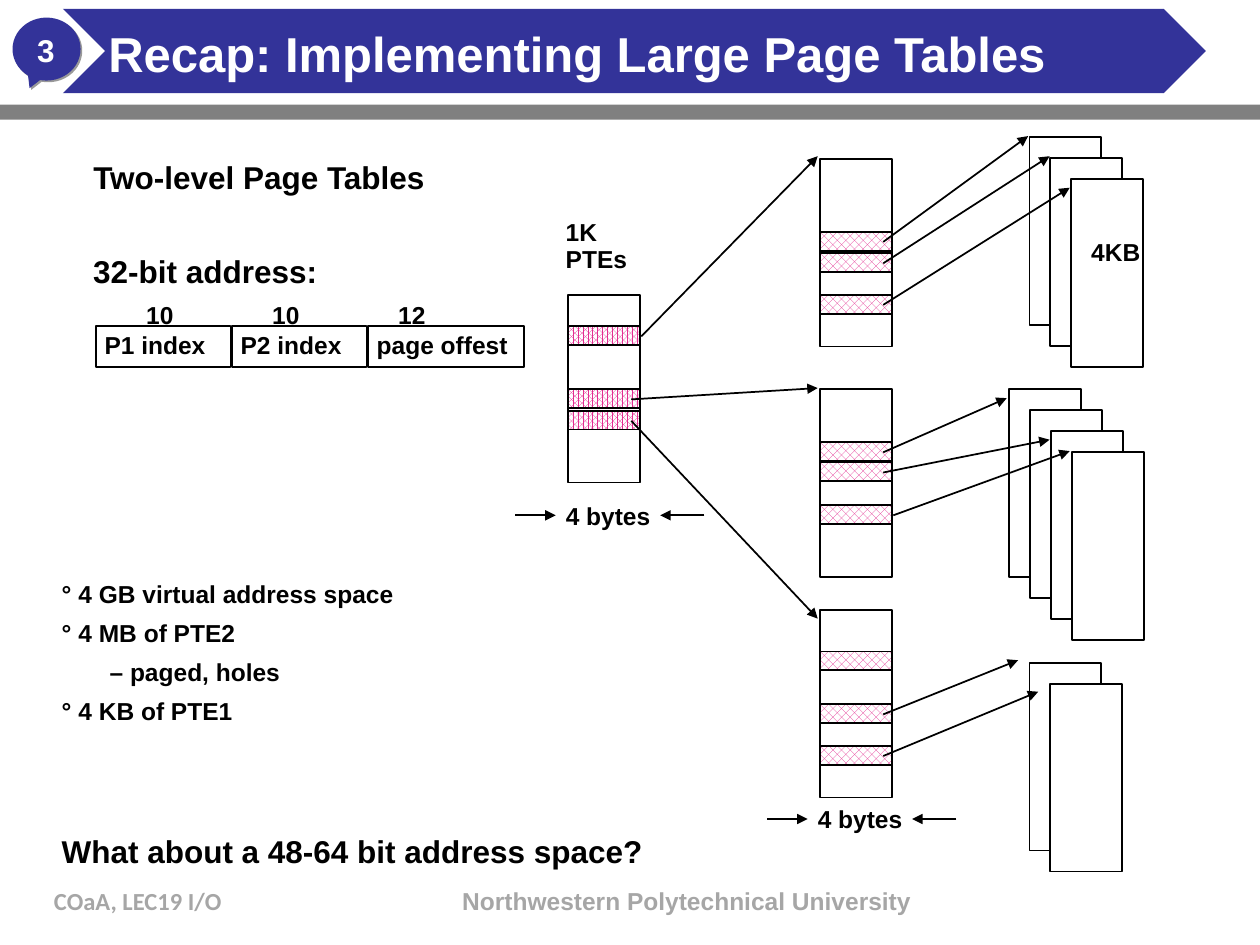
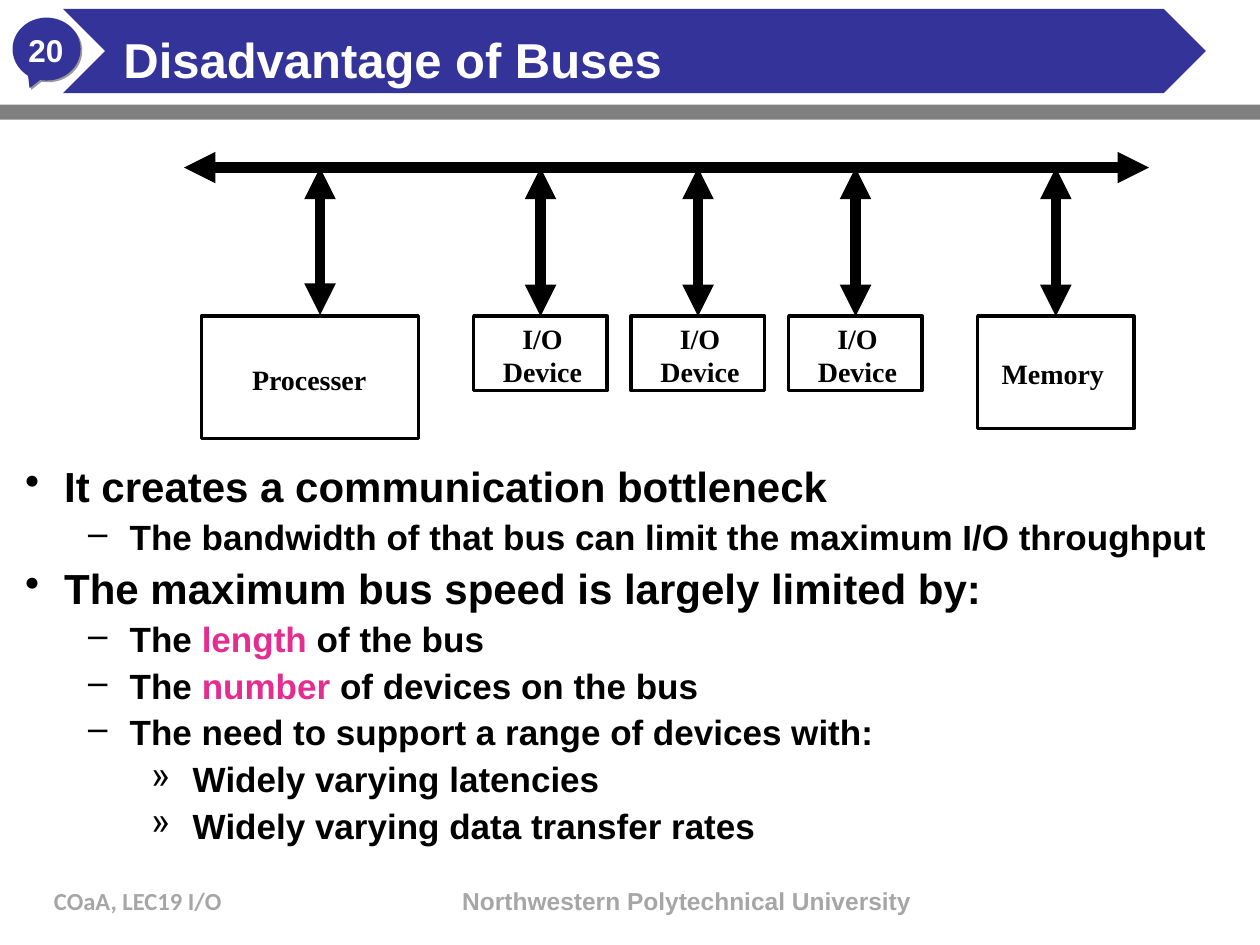
import pptx
import pptx.dml.color
import pptx.enum.dml
import pptx.enum.shapes
import pptx.enum.text
import pptx.oxml
import pptx.oxml.ns
import pptx.util
from lxml import etree

Inches = pptx.util.Inches
Pt = pptx.util.Pt
RGB = pptx.dml.color.RGBColor
SHAPE = pptx.enum.shapes.MSO_SHAPE
ALIGN = pptx.enum.text.PP_ALIGN
ANCHOR = pptx.enum.text.MSO_ANCHOR
PATTERN = pptx.enum.dml.MSO_PATTERN
qn = pptx.oxml.ns.qn

NAVY = RGB(0x33, 0x33, 0x99)
BAND_GRAY = RGB(0x80, 0x80, 0x80)
FOOTER_GRAY = RGB(0xA6, 0xA6, 0xA6)
MAGENTA = RGB(0xE3, 0x2D, 0x91)
BLACK = RGB(0, 0, 0)
WHITE = RGB(0xFF, 0xFF, 0xFF)

TIGHT = (0.03, 0.03, 0.03, 0.03)
LABEL = (0.07, 0.03, 0.07, 0.03)
STANDARD = (0.1, 0.05, 0.1, 0.05)

TABLE_W, TABLE_H, ENTRY_H = 0.57, 1.49, 0.15
PAGE_STEP = 1 / 6


# ---- shared helpers ----

def set_frame(frame, insets, wrap=True, anchor=ANCHOR.TOP):
    sides = ("margin_left", "margin_top", "margin_right", "margin_bottom")
    for side, inset in zip(sides, insets):
        setattr(frame, side, Inches(inset))
    frame.word_wrap = wrap
    frame.auto_size = pptx.enum.text.MSO_AUTO_SIZE.NONE
    frame.vertical_anchor = anchor


def add_run(paragraph, text, size, color=BLACK, font="Arial"):
    run = paragraph.add_run()
    run.text = text
    run.font.size = Pt(size)
    run.font.name = font
    run.font.bold = True
    run.font.color.rgb = color


def write_lines(frame, lines, size, color=BLACK, font="Arial",
                align=ALIGN.LEFT, spacing=1.0):
    for number, line in enumerate(lines):
        paragraph = frame.add_paragraph() if number else frame.paragraphs[0]
        paragraph.alignment = align
        paragraph.line_spacing = spacing
        add_run(paragraph, line, size, color, font)


def add_text(slide, box, lines, size, insets=LABEL, wrap=False, **style):
    frame = slide.shapes.add_textbox(*map(Inches, box)).text_frame
    set_frame(frame, insets, wrap)
    write_lines(frame, lines, size, **style)


def add_box(slide, box, kind=SHAPE.RECTANGLE, fill=None, line=None):
    shape = slide.shapes.add_shape(kind, *map(Inches, box))
    shape.shadow.inherit = False
    if fill is None:
        shape.fill.background()
    else:
        shape.fill.solid()
        shape.fill.fore_color.rgb = fill
    if line is None:
        shape.line.fill.background()
    else:
        shape.line.color.rgb = BLACK
        shape.line.width = Pt(line)
    return shape


def add_arrow(slide, start, end, width=1, double=False):
    arrow = slide.shapes.add_connector(
        pptx.enum.shapes.MSO_CONNECTOR.STRAIGHT, *map(Inches, (*start, *end)))
    arrow.line.color.rgb = BLACK
    arrow.line.width = Pt(width)
    outline = arrow.line._get_or_add_ln()
    for tag in ("a:headEnd", "a:tailEnd") if double else ("a:tailEnd",):
        etree.SubElement(outline, qn(tag), type="triangle")
    etree.SubElement(outline.getparent(), qn("a:effectLst"))
    return arrow


def add_callout_shadow(shape):
    effects = shape.element.spPr.find(qn("a:effectLst"))
    shadow = etree.SubElement(effects, qn("a:outerShdw"), dist=str(Pt(1.4)),
                              dir="2700000", algn="ctr", rotWithShape="0")
    etree.SubElement(shadow, qn("a:srgbClr"), val="999999")


def add_framed_slide(deck, number, title, title_box):
    """Add a title-only slide with header band, number callout and footers."""
    slide = deck.slides.add_slide(deck.slide_layouts[5])
    callout = add_box(slide, (0.1, 0.14, 0.54, 0.5), SHAPE.OVAL_CALLOUT, NAVY)
    callout.adjustments[0], callout.adjustments[1] = -0.25, 0.62
    add_callout_shadow(callout)
    add_box(slide, (0, 0.83, 10, 0.12), fill=BAND_GRAY)
    add_box(slide, (0.5, 0.07, 9.07, 0.67), SHAPE.CHEVRON, NAVY)
    add_text(slide, (0.16, 0.2, 0.41, 0.4), [number], 18, (0.05,) * 4,
             color=WHITE, align=ALIGN.CENTER)
    add_text(slide, (0.33, 6.98, 2.08, 0.5), ["COaA, LEC19 I/O"], 14, STANDARD,
             True, color=FOOTER_GRAY, font="Calibri")
    add_text(slide, (3.49, 6.98, 3.92, 0.5),
             ["Northwestern Polytechnical University"], 14, STANDARD, True,
             color=FOOTER_GRAY, align=ALIGN.CENTER)

    heading = slide.shapes.title
    heading.left, heading.top, heading.width, heading.height = map(Inches, title_box)
    set_frame(heading.text_frame, TIGHT)
    write_lines(heading.text_frame, [title], 28, WHITE, spacing=0.9)
    # The title has to lie above the header band.
    heading.element.getparent().append(heading.element)
    return slide


# ---- page tables slide ----

def add_page_table(slide, left, top, entries, pattern):
    add_box(slide, (left, top, TABLE_W, TABLE_H), line=1)
    for offset in entries:
        entry = add_box(slide, (left, top + offset, TABLE_W, ENTRY_H), line=1)
        entry.fill.patterned()
        entry.fill.pattern = pattern
        entry.fill.fore_color.rgb = MAGENTA
        entry.fill.back_color.rgb = WHITE


def add_page_stack(slide, left, top, count):
    for index in range(count):
        shift = index * PAGE_STEP
        add_box(slide, (left + shift, top + shift, TABLE_W, TABLE_H),
                fill=WHITE, line=1)


def add_entry_arrows(slide, left, top, entries, targets, starts):
    """Draw an arrow from each table entry to its target point."""
    for offset, target, start in zip(entries, targets, starts):
        add_arrow(slide, (left + start, top + offset + 0.08), target)


def add_entry_width(slide, left, top):
    add_text(slide, (left + 0.33, top, 0.82, 0.28), ["4 bytes"], 14, spacing=0.9)
    add_arrow(slide, (left, top + 0.12), (left + 0.32, top + 0.12))
    add_arrow(slide, (left + 1.5, top + 0.12), (left + 1.15, top + 0.12))


def add_address_fields(slide, left, top):
    fields = [("P1 index", "10", 1.07), ("P2 index", "10", 1.07),
              ("page offest", "12", 1.24)]
    for index, (name, bits, width) in enumerate(fields):
        field = add_box(slide, (left + index * 1.08, top, width, 0.32), line=1)
        set_frame(field.text_frame, LABEL, False, ANCHOR.MIDDLE)
        write_lines(field.text_frame, [name], 14, spacing=0.9)
        add_text(slide, (left + 0.33 + index, top - 0.21, 0.37, 0.28), [bits],
                 14, spacing=0.9)


def add_size_notes(slide, box):
    frame = slide.shapes.add_textbox(*map(Inches, box)).text_frame
    set_frame(frame, LABEL)
    notes = ["° 4 GB virtual address space", "° 4 MB of PTE2",
             "– paged, holes", "° 4 KB of PTE1"]
    write_lines(frame, notes, 14, spacing=0.91)
    for index, paragraph in enumerate(frame.paragraphs):
        hanging = 0 if notes[index].startswith("–") else -0.38
        properties = paragraph._p.get_or_add_pPr()
        properties.set("marL", str(Inches(0.38)))
        properties.set("indent", str(Inches(hanging)))
        if index:
            paragraph.space_before = Pt(7)


def build_page_tables(deck):
    slide = add_framed_slide(deck, "3", "Recap: Implementing Large Page Tables",
                             (0.83, 0.21, 7.76, 0.4))
    for top, width, text in [
            (1.27, 2.82, "Two-level Page Tables"), (2.02, 1.93, "32-bit address:")]:
        add_text(slide, (0.67, top, width, 0.32), [text], 18, spacing=0.85)

    root_left, root_top, root_entries = 4.51, 2.34, (0.25, 0.75, 0.92)
    add_page_table(slide, root_left, root_top, root_entries, PATTERN.PERCENT_75)
    add_entry_arrows(slide, root_left, root_top, root_entries,
                     [(6.49, 1.24), (6.49, 3.08), (6.49, 4.91)], (0.58, 0.5, 0.5))

    # table top, entry offsets, page stack, arrow targets, arrow starts
    second_level = [
        (1.26, (0.58, 0.75, 1.08), (8.17, 1.09, 3),
         [(8.16, 1.08), (8.33, 1.24), (8.49, 1.49)], (0.5, 0.5, 0.5)),
        (3.09, (0.42, 0.58, 0.92), (8.01, 3.09, 4),
         [(7.99, 3.16), (8.33, 3.49), (8.49, 3.58)], (0.5, 0.5, 0.58)),
        (4.84, (0.33, 0.75, 1.08), (8.17, 5.26, 2),
         [(8.08, 5.24), (8.24, 5.49)], (0.5, 0.5)),
    ]
    table_left = 6.51
    for top, entries, pages, targets, starts in second_level:
        add_page_table(slide, table_left, top, entries, PATTERN.PERCENT_50)
        add_page_stack(slide, *pages)
        add_entry_arrows(slide, table_left, top, entries[-len(targets):],
                         targets, starts)

    add_address_fields(slide, 0.76, 2.59)
    add_entry_width(slide, 4.09, 3.97)
    add_entry_width(slide, 6.09, 6.38)
    add_text(slide, (8.59, 1.88, 0.54, 0.28), ["4KB"], 14, spacing=0.9)
    add_text(slide, (4.42, 1.72, 0.64, 0.49), ["1K", "PTEs"], 14, spacing=0.9)
    add_size_notes(slide, (0.42, 4.59, 3.17, 1.24))
    add_text(slide, (0.42, 6.62, 4.76, 0.32),
             ["What about a 48-64 bit address space?"], 18, spacing=0.85)


# ---- buses slide ----

def add_bus_diagram(slide, left, top):
    """Draw the bus and the units that hang below it."""
    add_arrow(slide, (left, top), (left + 7.66, top), 6, True)
    # name, left, width, height, text insets, alignment, arrow position
    units = [("Processer", 0.14, 1.72, 0.97, (0.4, 0.37), ALIGN.LEFT, 1.08)]
    units += [("I/O Device", 2.3 + 1.25 * index, 1.06, 0.59, (0.13, 0.04),
               ALIGN.CENTER, 2.83 + 1.25 * index) for index in range(3)]
    units += [("Memory", 6.3, 1.24, 0.89, (0.19, 0.32), ALIGN.LEFT, 6.92)]
    for name, offset, width, height, insets, align, arrow_at in units:
        unit = add_box(slide, (left + offset, top + 1.18, width, height), line=2)
        set_frame(unit.text_frame, (*insets, 0.1, 0))
        write_lines(unit.text_frame, [name], 16, font="Times New Roman",
                    align=align)
        link = add_arrow(slide, (left + arrow_at, top),
                         (left + arrow_at, top + 1.17), 6, True)
        if abs(offset + width / 2 - arrow_at) < 0.01:
            link.end_connect(unit, 0)


def add_bullets(slide, box, items):
    # bullet, left margin, hanging indent, text size, space before
    levels = [("•", 0.31, 0.31, 24, 6), ("–", 0.83, 0.33, 20, 5),
              ("»", 1.33, 0.33, 20, 5)]
    frame = slide.shapes.add_textbox(*map(Inches, box)).text_frame
    set_frame(frame, TIGHT)
    for number, (level, *runs) in enumerate(items):
        bullet, margin, hanging, size, space = levels[level]
        paragraph = frame.add_paragraph() if number else frame.paragraphs[0]
        properties = paragraph._p.get_or_add_pPr()
        properties.set("marL", str(Inches(margin)))
        properties.set("indent", str(Inches(-hanging)))
        etree.SubElement(properties, qn("a:buChar"), char=bullet)
        paragraph.level = level
        paragraph.line_spacing = 0.9
        if number:
            paragraph.space_before = Pt(space)
        for text in runs:
            color = MAGENTA if text in ("length", "number") else BLACK
            add_run(paragraph, text, size, color)


def build_buses(deck):
    slide = add_framed_slide(deck, "20", "Disadvantage of Buses",
                             (0.95, 0.26, 5.31, 0.4))
    add_bullets(slide, (0.17, 3.67, 9.67, 2.91), [
        (0, "It creates a communication bottleneck"),
        (1, "The bandwidth of that bus can limit the maximum I/O throughput"),
        (0, "The maximum bus speed is largely limited by:"),
        (1, "The ", "length", " of the bus"),
        (1, "The ", "number", " of devices on the bus"),
        (1, "The need to support a range of devices with:"),
        (2, "Widely varying latencies"),
        (2, "Widely varying data transfer rates"),
    ])
    add_bus_diagram(slide, 1.46, 1.33)


def main():
    deck = pptx.Presentation()
    deck.slide_width, deck.slide_height = Inches(10), Inches(7.5)
    build_page_tables(deck)
    build_buses(deck)
    deck.save("out.pptx")


if __name__ == "__main__":
    main()
